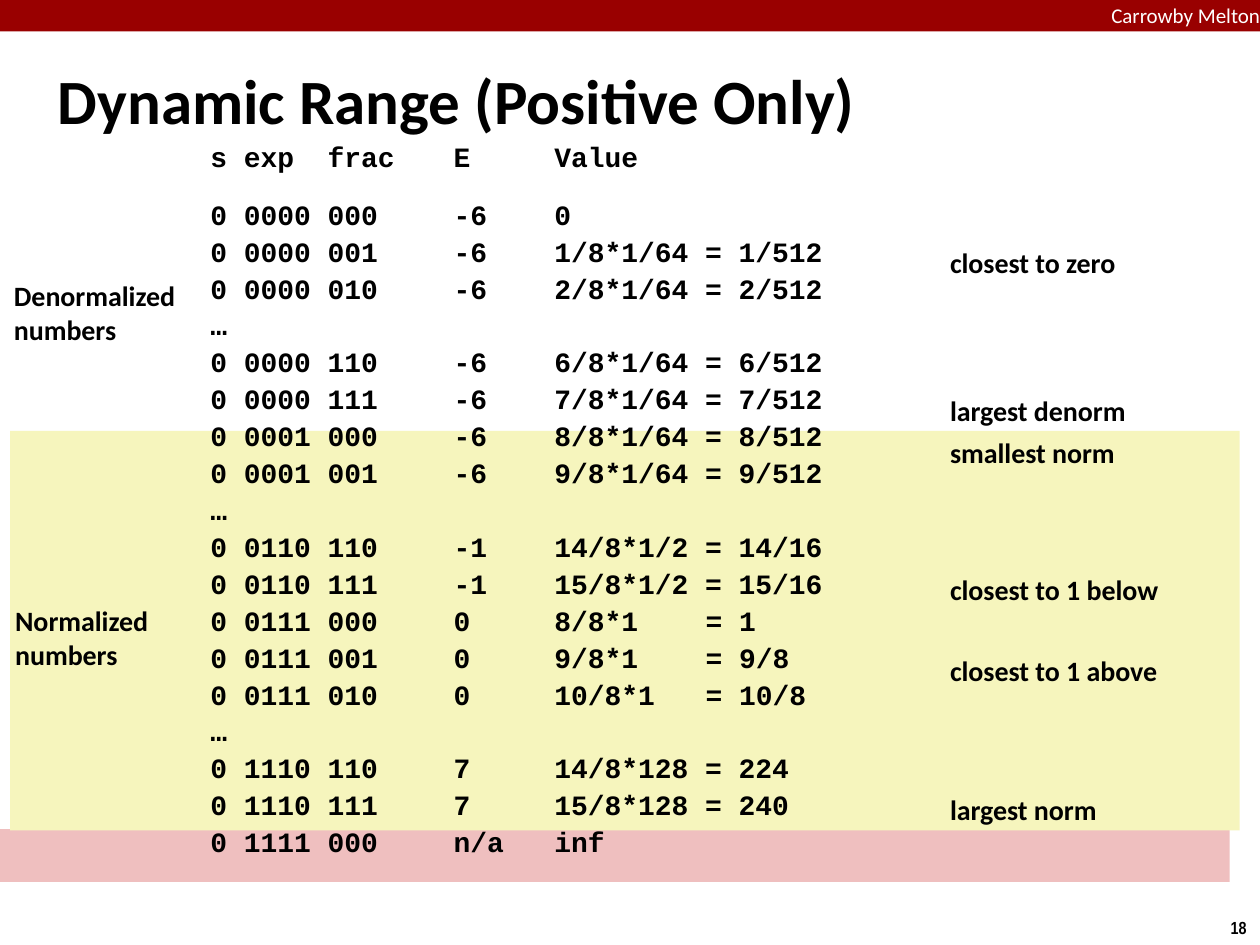
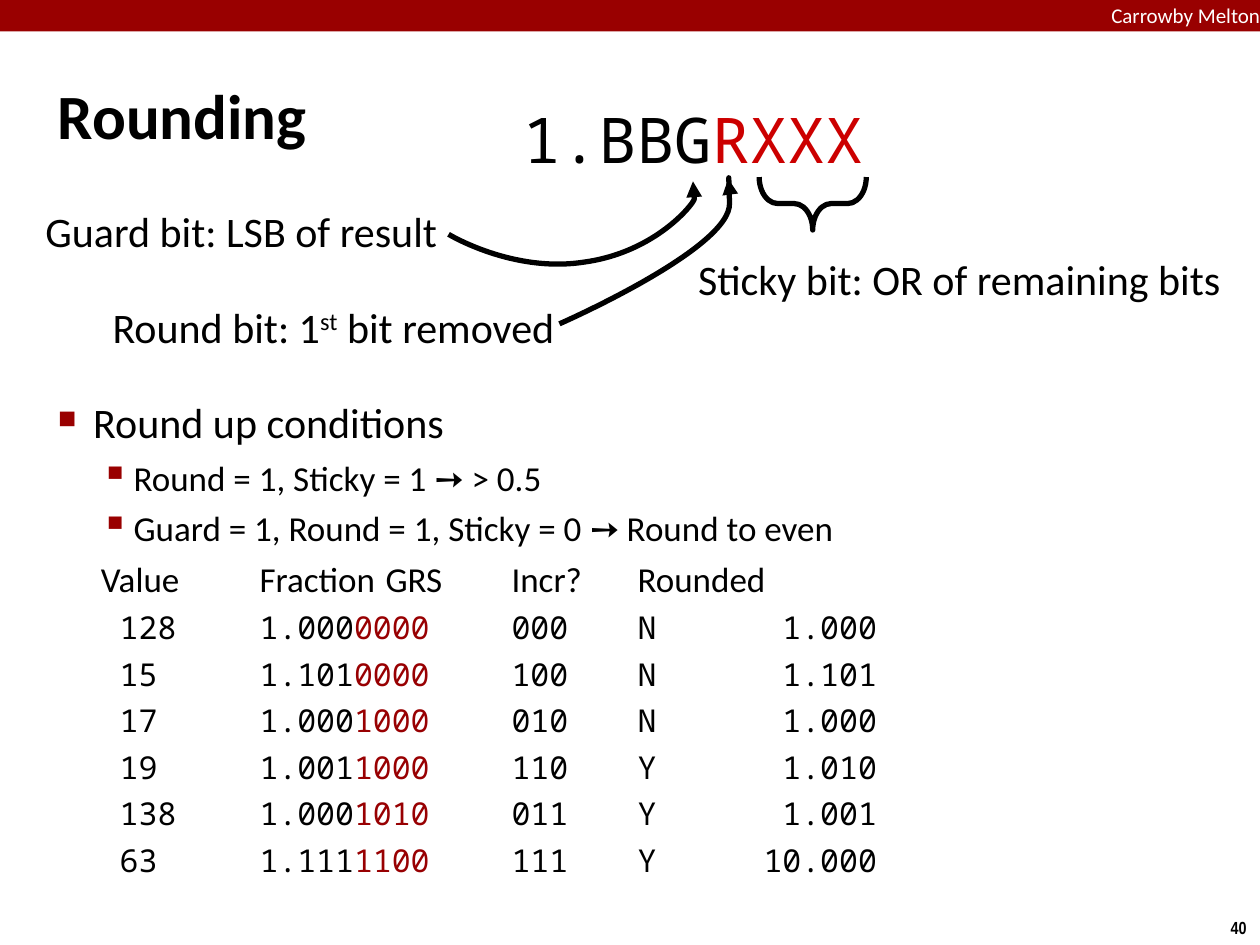
from pptx import Presentation
from pptx.util import Inches, Pt
from pptx.dml.color import RGBColor
from pptx.enum.shapes import MSO_SHAPE as Kind
from pptx.enum.text import PP_ALIGN as Align, MSO_ANCHOR as Anchor
from pptx.oxml.ns import qn
from lxml.etree import SubElement as Sub

BLACK, WHITE, BAND = "000000", "FFFFFF", "990000"
YELLOW, PINK = "F6F5BD", "EFBFBF"
RED, DARK = "CC0000", "980002"
SANS, MONO, CODE = "Calibri", "Noto Sans Mono", "Courier New"
PAD = 0.04


def color(text):
    """Turn a hex string into a colour."""
    return RGBColor.from_string(text)


def style(font, size, face=SANS, hue=BLACK, bold=False):
    """Set the look of a paragraph or run font."""
    font.size, font.name, font.bold = Pt(size), face, bold
    font.color.rgb = color(hue)


def frame(slide, box, pad=PAD, wrap=True):
    """Add an empty text box and return its text frame."""
    text = slide.shapes.add_textbox(*map(Inches, box)).text_frame
    text.word_wrap = wrap
    text.margin_left = text.margin_right = Inches(pad)
    text.margin_top = text.margin_bottom = Inches(pad)
    return text


def lines(text):
    """Yield the first paragraph of a frame, then new ones."""
    yield text.paragraphs[0]
    while True:
        yield text.add_paragraph()


def label(slide, box, words, size, align=None, pad=PAD, wrap=False, **look):
    """Add a text box with one style; each line is a paragraph."""
    text = frame(slide, box, pad, wrap)
    for line, para in zip(words.split("\n"), lines(text)):
        para.text, para.alignment = line, align
        style(para.font, size, **look)
    return text


def rect(slide, box, hue):
    """Add a plain filled rectangle."""
    shape = slide.shapes.add_shape(Kind.RECTANGLE, *map(Inches, box))
    shape.shadow.inherit = False
    shape.fill.solid()
    shape.fill.fore_color.rgb = color(hue)
    shape.line.fill.background()


def outline(shape):
    """Give a shape a thick black line and no fill."""
    shape.shadow.inherit = False
    shape.fill.background()
    shape.line.color.rgb = color(BLACK)
    shape.line.width = Pt(3)


def curve(slide, points):
    """Draw a Bezier arrow: a start, then three points per piece."""
    start, *rest = [tuple(map(Inches, point)) for point in points]
    form = slide.shapes.build_freeform(*start)
    form.add_line_segments(rest, close=False)
    shape = form.convert_to_shape()
    outline(shape)
    track = shape._element.find(".//" + qn("a:path"))
    steps = track.findall(qn("a:lnTo"))
    for i in range(0, len(steps), 3):
        bend = Sub(track, qn("a:cubicBezTo"))
        for step in steps[i:i + 3]:
            bend.append(step[0])
            track.remove(step)
    Sub(shape.line._get_or_add_ln(), qn("a:tailEnd"), type="triangle")


def base(deck, title, high, number):
    """Start a slide with the band, the title and the page number."""
    slide = deck.slides.add_slide(deck.slide_layouts[6])
    label(slide, (9.66, 7.23, 0.34, 0.27), number, 10, Align.CENTER,
          pad=0.05, face="Arial Narrow", bold=True)
    rect(slide, (0, 0, 10, 0.25), BAND)
    label(slide, (8.82, 0.02, 1.44, 0.19), "Carrowby Melton", 12,
          pad=0, wrap=True, hue=WHITE)
    text = label(slide, (0.42, 0.28, 9.17, high), title, 36,
                 wrap=True, bold=True)
    text.vertical_anchor = Anchor.MIDDLE
    return slide


CODES = """s exp\tfrac\tE\tValue
0 0000 000\t-6\t0
0 0000 001\t-6\t1/8*1/64 = 1/512
0 0000 010\t-6\t2/8*1/64 = 2/512
…
0 0000 110\t-6\t6/8*1/64 = 6/512
0 0000 111\t-6\t7/8*1/64 = 7/512
0 0001 000\t-6\t8/8*1/64 = 8/512
0 0001 001\t-6\t9/8*1/64 = 9/512
…
0 0110 110\t-1\t14/8*1/2 = 14/16
0 0110 111\t-1\t15/8*1/2 = 15/16
0 0111 000\t0\t8/8*1\t= 1
0 0111 001\t0\t9/8*1\t= 9/8
0 0111 010\t0\t10/8*1\t= 10/8
…
0 1110 110\t7\t14/8*128 = 224
0 1110 111\t7\t15/8*128 = 240
0 1111 000\tn/a\tinf"""
STOPS = (0.93, 1.93, 2.73, 3.93)
NOTES = ((1.91, "closest to zero"), (3.08, "largest denorm"),
         (3.42, "smallest norm"), (4.5, "closest to 1 below"),
         (5.15, "closest to 1 above"), (6.25, "largest norm"))


def codes(slide, box):
    """List the bit patterns in tabbed columns."""
    text = label(slide, box, CODES, 16, pad=0, wrap=True,
                 face=CODE, bold=True)
    for para in text.paragraphs:
        para.line_spacing = 1.1
        props = para._p.get_or_add_pPr()
        tabs = Sub(props, qn("a:tabLst"))
        # The schema wants tab stops ahead of the default run style.
        props.find(qn("a:defRPr")).addprevious(tabs)
        for stop in STOPS:
            Sub(tabs, qn("a:tab"), pos=str(Inches(stop)), algn="l")
    text.paragraphs[1].space_before = Pt(12)


def ranges(deck):
    """Build the slide on the dynamic range."""
    slide = base(deck, "Dynamic Range (Positive Only)", 1.01, "18")
    rect(slide, (0, 6.58, 9.76, 0.42), PINK)
    rect(slide, (0.08, 3.42, 9.76, 3.17), YELLOW)
    codes(slide, (1.67, 1.08, 5.08, 6.08))
    for top, words in NOTES:
        label(slide, (7.5, top, 2.03, 0.35), words, 16, bold=True)
    for left, top, kind in ((0.07, 2.17, "Denormalized"),
                            (0.08, 4.75, "Normalized")):
        label(slide, (left, top, 1.55, 0.62), kind + "\nnumbers", 16,
              bold=True)


def runs(para, parts):
    """Add runs, each with its own colour."""
    for words, hue in parts:
        run = para.add_run()
        run.text = words
        run.font.color.rgb = color(hue)


def indent(para, left, hang, mark=None, scale=100):
    """Set a hanging indent, tab step and bullet."""
    props = para._p.get_or_add_pPr()
    props.set("marL", str(Inches(left)))
    props.set("indent", str(-Inches(hang)))
    props.set("defTabSz", str(Inches(1)))
    parts = []
    if mark:
        tint = Sub(props, qn("a:buClr"))
        Sub(tint, qn("a:srgbClr"), val=BAND)
        parts += [tint, Sub(props, qn("a:buSzPct"), val=str(scale * 1000)),
                  Sub(props, qn("a:buChar"), char=mark)]
    else:
        parts.append(Sub(props, qn("a:buNone")))
    last = props.find(qn("a:defRPr"))
    for part in parts:
        last.addprevious(part)


RULES = (("Round = 1, Sticky = 1 ➙ > 0.5", "▪"),
         ("Guard = 1, Round = 1, Sticky = 0 ➙ Round to even", "▪"),
         ("Value\tFraction\tGRS\tIncr?\tRounded", None))
CASES = ((128, "1.000", "0000", "000", "N", " 1.000"),
         (15, "1.101", "0000", "100", "N", " 1.101"),
         (17, "1.000", "1000", "010", "N", " 1.000"),
         (19, "1.001", "1000", "110", "Y", " 1.010"),
         (138, "1.000", "1010", "011", "Y", " 1.001"),
         (63, "1.111", "1100", "111", "Y", "10.000"))


def body(slide, box):
    """List the round up conditions and the worked cases."""
    paras = lines(frame(slide, box))
    head = next(paras)
    head.text, head.space_before = "Round up conditions", Pt(6)
    style(head.font, 24)
    indent(head, 0.28, 0.28, "■", 60)
    for words, mark in RULES:
        para = next(paras)
        para.text, para.level, para.space_before = words, 1, Pt(5)
        style(para.font, 20)
        indent(para, 0.6, 0.26, mark, 110)
    for value, kept, cut, bits, up, result in CASES:
        para = next(paras)
        para.level, para.space_before = 1, Pt(5)
        style(para.font, 18, MONO)
        indent(para, 0.6, 0.26)
        runs(para, ((f" {value}\t{kept}", BLACK), (cut + "\t", DARK),
                    (f"{bits}\t{up}\t{result}", BLACK)))


def pattern(slide, box):
    """Write the bit pattern with its removed bits in red."""
    para = frame(slide, box, wrap=False).paragraphs[0]
    para.alignment = Align.CENTER
    style(para.font, 36, MONO)
    runs(para, (("1.BBG", BLACK), ("RXXX", RED)))


def brace(slide, box):
    """Draw a brace that points down, turned from a left brace."""
    shape = slide.shapes.add_shape(Kind.LEFT_BRACE, *map(Inches, box))
    shape.rotation = 270
    shape.adjustments[0] = 0.35
    outline(shape)


def rounding(deck):
    """Build the slide on rounding."""
    slide = base(deck, "Rounding", 1.25, "40")
    body(slide, (0.42, 3.11, 9.17, 4.36))
    pattern(slide, (4.1, 0.76, 2.8, 0.71))
    label(slide, (0.16, 1.59, 3.35, 0.49), "Guard bit: LSB of result", 24,
          Align.RIGHT, wrap=True)
    para = frame(slide, (0.73, 2.35, 3.71, 0.49), wrap=False).paragraphs[0]
    para.alignment = Align.RIGHT
    style(para.font, 24)
    runs(para, (("Round bit: 1", BLACK), ("st", BLACK),
                (" bit removed", BLACK)))
    para.runs[1].font._element.set("baseline", "30000")
    brace(slide, (6.24, 1.19, 0.42, 0.85))
    label(slide, (5.5, 1.97, 4.36, 0.49),
          "Sticky bit: OR of remaining bits", 24)
    curve(slide, ((4.44, 2.57), (4.44, 2.57), (5.81, 1.97), (5.79, 1.61),
                  (5.78, 1.25), (5.78, 1.42), (5.78, 1.42)))
    curve(slide, ((3.56, 1.86), (3.56, 1.86), (4.07, 2.17), (4.64, 2.08),
                  (5.21, 2), (5.51, 1.61), (5.51, 1.58),
                  (5.51, 1.56), (5.5, 1.44), (5.5, 1.44)))


deck = Presentation()
deck.slide_width, deck.slide_height = Inches(10), Inches(7.5)
ranges(deck)
rounding(deck)
deck.save("out.pptx")
